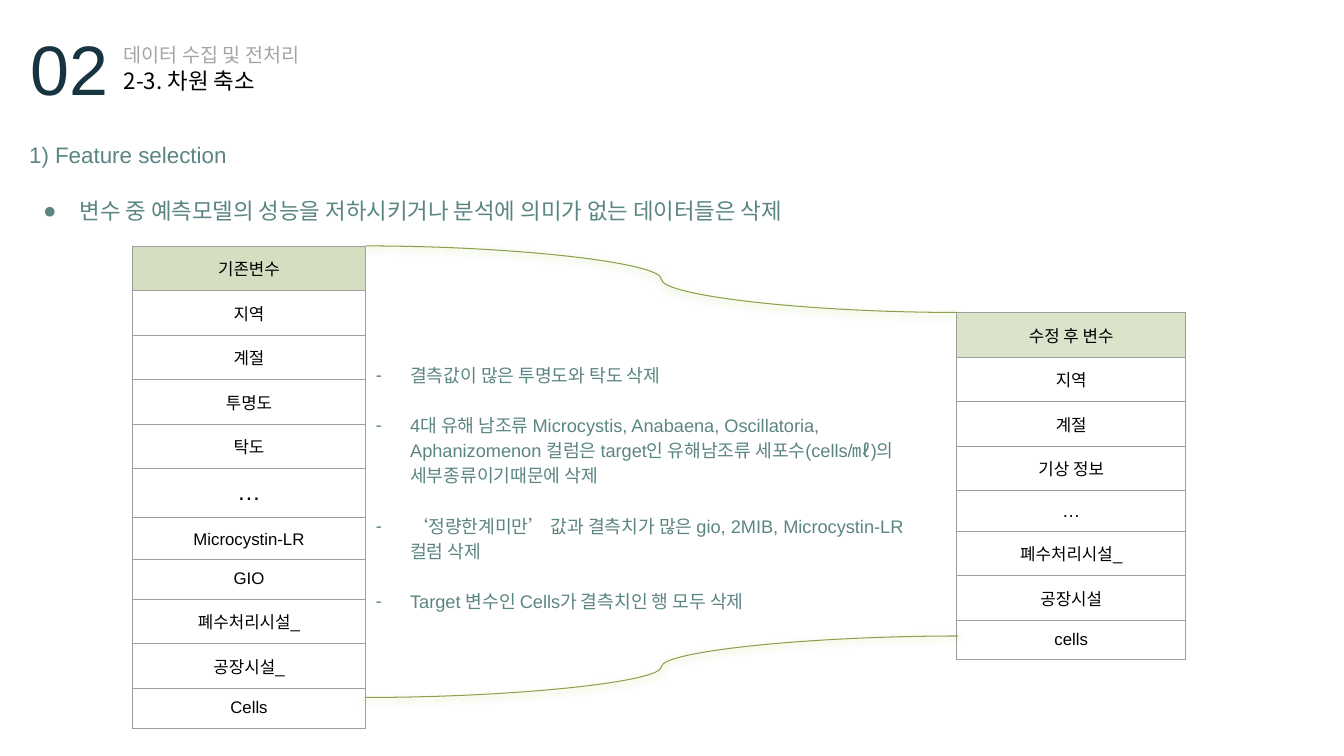
from dataclasses import dataclass

from lxml import etree
from pptx import Presentation
from pptx.dml.color import RGBColor
from pptx.enum import shapes, text
from pptx.oxml import ns
from pptx.util import Inches, Pt


@dataclass(frozen=True)
class Theme:
    latin: str = "Arial"
    korean: str = "Noto Sans CJK KR"
    teal: str = "5B8583"
    navy: str = "193441"
    gray: str = "A5A5A5"
    black: str = "000000"
    border: str = "9E9E9E"
    curve: str = "8CA14D"
    glow: str = "BFDC73"
    number: int = 50
    heading: int = 16
    chapter: int = 14
    reason: int = 13
    cell: int = 12


THEME = Theme()


@dataclass(frozen=True)
class Line:
    words: str
    size: int
    color: str
    font: str = THEME.latin
    bullet: str = ""
    hanging: float = 0
    spacing: float = 1
    before: float = 0


@dataclass(frozen=True)
class TextBlock:
    left: float
    top: float
    width: float
    height: float
    lines: list[Line]
    margin: float = 0.05


@dataclass(frozen=True)
class VariableTable:
    left: float
    top: float
    width: float
    header_fill: str
    rows: list[str]
    heights: list[float]
    ellipsis_size: int


@dataclass(frozen=True)
class Curve:
    start: tuple[float, float]
    end: tuple[float, float]
    glow_percent: int


def add_child(parent, tag: str, **attributes):
    values = {key: str(value) for key, value in attributes.items()}
    return etree.SubElement(parent, ns.qn(tag), values)


def add_color(parent, color: str):
    return add_child(parent, "a:srgbClr", val=color)


def set_font(paragraph, size: int, color: str, latin: str = THEME.latin) -> None:
    font = paragraph.font
    font.size = Pt(size)
    font.color.rgb = RGBColor.from_string(color)
    font.name = latin
    default_run = paragraph._p.pPr.find(ns.qn("a:defRPr"))
    add_child(default_run, "a:ea", typeface=THEME.korean)


def add_bullet(paragraph, line: Line) -> None:
    properties = paragraph._p.get_or_add_pPr()
    properties.set("marL", str(Inches(0.5)))
    properties.set("indent", str(Inches(-line.hanging)))
    add_color(add_child(properties, "a:buClr"), line.color)
    add_child(properties, "a:buFont", typeface=THEME.latin)
    add_child(properties, "a:buChar", char=line.bullet)


def add_text_block(slide, block: TextBlock) -> None:
    box = slide.shapes.add_textbox(
        Inches(block.left), Inches(block.top), Inches(block.width), Inches(block.height))
    frame = box.text_frame
    frame.word_wrap = True
    frame.auto_size = text.MSO_AUTO_SIZE.SHAPE_TO_FIT_TEXT
    frame.margin_left = frame.margin_right = Inches(0.1)
    frame.margin_top = frame.margin_bottom = Inches(block.margin)
    for index, line in enumerate(block.lines):
        paragraph = frame.add_paragraph() if index else frame.paragraphs[0]
        paragraph.text = line.words
        if line.bullet:
            add_bullet(paragraph, line)
        if line.spacing != 1:
            paragraph.line_spacing = line.spacing
        if line.before:
            paragraph.space_before = Pt(line.before)
        set_font(paragraph, line.size, line.color, line.font)


def add_borders(cell) -> None:
    """Borders precede the fill in the cell properties, so call this before filling."""
    properties = cell._tc.get_or_add_tcPr()
    for side in ("a:lnL", "a:lnR", "a:lnT", "a:lnB"):
        edge = add_child(properties, side, w=Pt(0.75))
        add_color(add_child(edge, "a:solidFill"), THEME.border)


def add_variable_table(slide, variables: VariableTable) -> None:
    table = slide.shapes.add_table(
        len(variables.rows), 1, Inches(variables.left), Inches(variables.top),
        Inches(variables.width), Inches(sum(variables.heights))).table
    table.first_row = table.horz_banding = False
    for index, (name, height) in enumerate(zip(variables.rows, variables.heights)):
        table.rows[index].height = Inches(height)
        cell = table.cell(index, 0)
        cell.margin_left = cell.margin_right = Inches(0.1)
        cell.margin_top = cell.margin_bottom = Inches(0.1)
        add_borders(cell)
        if index == 0:
            cell.fill.solid()
            cell.fill.fore_color.rgb = RGBColor.from_string(variables.header_fill)
        else:
            cell.fill.background()
        paragraph = cell.text_frame.paragraphs[0]
        paragraph.text = name
        paragraph.alignment = text.PP_ALIGN.CENTER
        if name == "Microcystin-LR":
            paragraph.line_spacing = 1.15
        size = variables.ellipsis_size if name == "…" else THEME.cell
        set_font(paragraph, size, THEME.black)


def add_curve(slide, curve: Curve) -> None:
    connector = slide.shapes.add_connector(
        shapes.MSO_CONNECTOR.CURVE, *map(Inches, curve.start + curve.end))
    connector.line.width = Pt(0.75)
    connector.line.color.rgb = RGBColor.from_string(THEME.curve)
    effects = add_child(connector._element.spPr, "a:effectLst")
    shadow = add_child(effects, "a:outerShdw", blurRad=Pt(4.5), dist=Pt(1.5),
                       dir=90 * 60000, algn="bl", rotWithShape=0)
    add_child(add_color(shadow, THEME.glow), "a:alpha", val=curve.glow_percent * 1000)


REASONS = [
    "결측값이 많은 투명도와 탁도 삭제",
    "4대 유해 남조류 Microcystis, Anabaena, Oscillatoria, Aphanizomenon 컬럼은 "
    "target인 유해남조류 세포수(cells/㎖)의 세부종류이기때문에 삭제",
    "‘정량한계미만’ 값과 결측치가 많은 gio, 2MIB, Microcystin-LR 컬럼 삭제",
    "Target 변수인 Cells가 결측치인 행 모두 삭제",
]
TEXT_BLOCKS = [
    TextBlock(0.19, 1.3, 12.89, 1.1, [
        Line("1) Feature selection", THEME.heading, THEME.teal),
        Line("변수 중 예측모델의 성능을 저하시키거나 분석에 의미가 없는 데이터들은 삭제",
             THEME.heading, THEME.teal, bullet="●", hanging=0.36, spacing=1.15, before=18),
    ], margin=0.1),
    TextBlock(0.2, 0.2, 1.32, 0.94, [Line("02", THEME.number, THEME.navy)]),
    TextBlock(1.13, 0.38, 3.89, 0.61, [
        Line("데이터 수집 및 전처리", THEME.chapter, THEME.gray),
        Line("2-3. 차원 축소", THEME.heading, THEME.black, THEME.korean),
    ]),
    TextBlock(3.47, 3.48, 5.96, 2.7, [
        Line(reason, THEME.reason, THEME.teal, bullet="-", hanging=0.34,
             spacing=1.15, before=18 if index else 0)
        for index, reason in enumerate(REASONS)
    ], margin=0.1),
]
TABLES = [
    VariableTable(1.31, 2.44, 2.32, "D5DEC0", [
        "기존변수", "지역", "계절", "투명도", "탁도", "…", "Microcystin-LR", "GIO",
        "폐수처리시설_", "공장시설_", "Cells",
    ], [0.4] * 5 + [0.48] + [0.4] * 5, ellipsis_size=17),
    VariableTable(9.49, 3.1, 2.27, "DBE3CB", [
        "수정 후 변수", "지역", "계절", "기상 정보", "…", "폐수처리시설_", "공장시설", "cells",
    ], [0.31] + [0.37] * 7, ellipsis_size=13),
]
CURVES = [
    Curve((3.63, 2.44), (9.49, 3.1), 78),
    Curve((3.62, 6.92), (9.5, 6.31), 71),
]


def main() -> None:
    deck = Presentation()
    deck.slide_width, deck.slide_height = Inches(13.33), Inches(7.5)
    slide = deck.slides.add_slide(deck.slide_layouts[6])
    for variables in TABLES:
        add_variable_table(slide, variables)
    for curve in CURVES:
        add_curve(slide, curve)
    for block in TEXT_BLOCKS:
        add_text_block(slide, block)
    deck.save("out.pptx")


if __name__ == "__main__":
    main()
